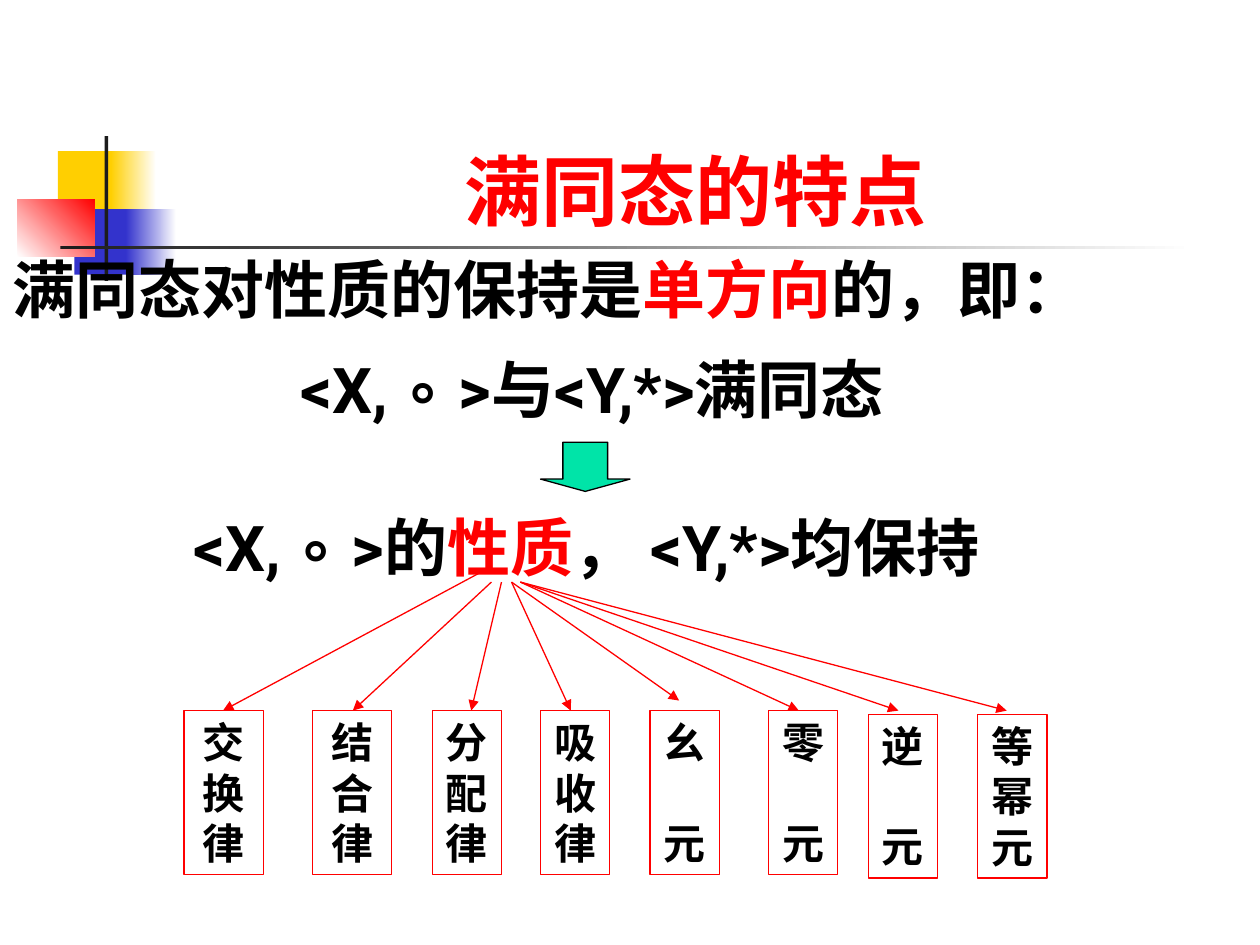
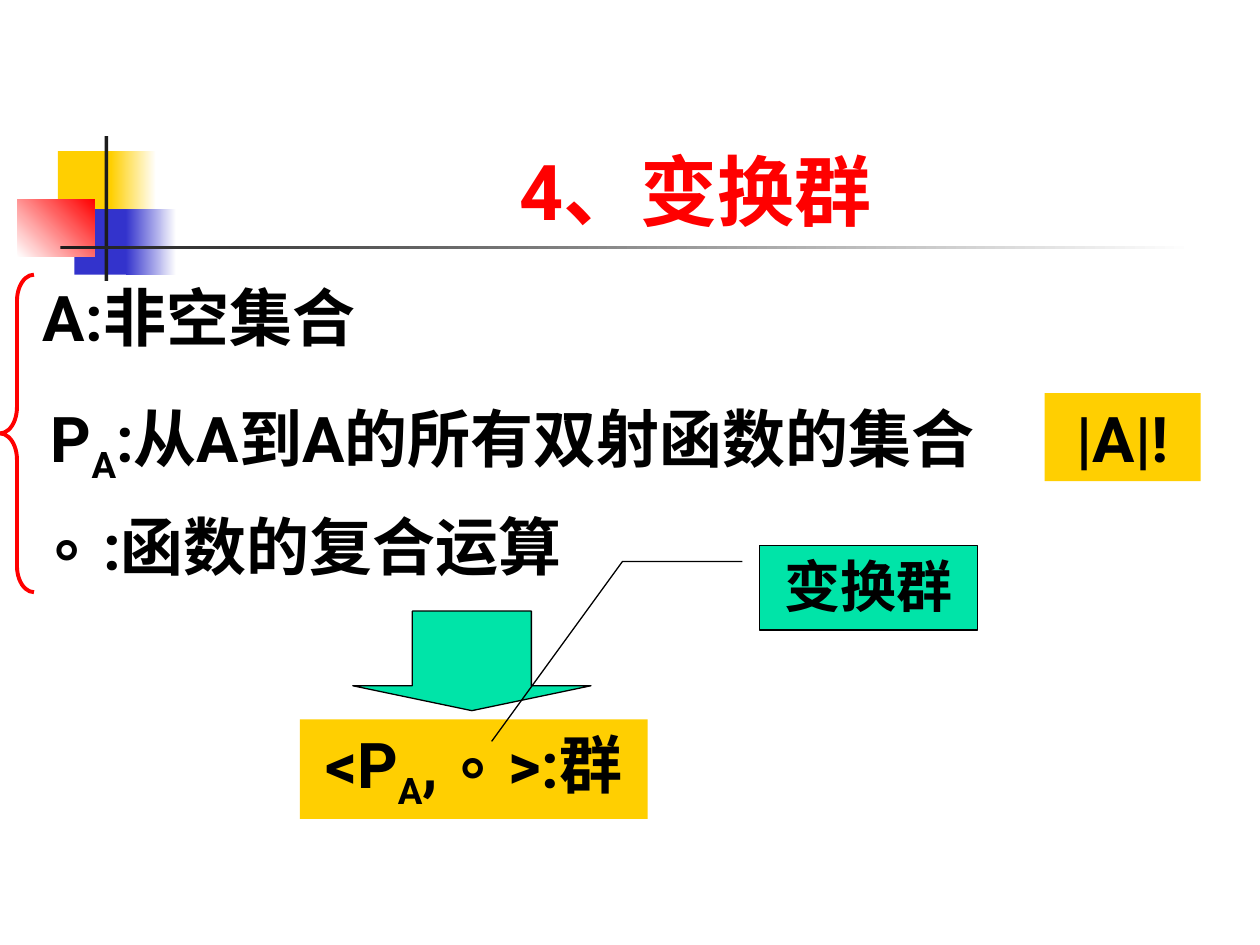
"""Build two algebra slides: surjective homomorphisms and transformation groups."""
from lxml import etree
from pptx import Presentation
from pptx import util as u
from pptx.dml.color import RGBColor
from pptx.enum import shapes, text
from pptx.oxml.ns import qn


class Theme:
    font = "Roboto"
    ink = RGBColor.from_string("000000")
    red = RGBColor.from_string("FF0000")
    gold = RGBColor.from_string("FFCF01")
    blue = RGBColor.from_string("3333CC")
    green = RGBColor.from_string("00E4A8")
    rule = RGBColor.from_string("1C1C1C")
    white = RGBColor.from_string("FFFFFF")
    title_size, body_size, callout_size, label_size = map(u.Pt, (44, 36, 32, 24))
    thin, thick = u.Pt(0.75), u.Pt(2.25)


PRESET = shapes.MSO_SHAPE


def write(shape, paragraphs, size=Theme.body_size, align=text.PP_ALIGN.CENTER, gap=0, **frame_format):
    """Fill a shape with paragraphs of (text, colour, is_subscript) runs."""
    frame = shape.text_frame
    frame_format = {"vertical_anchor": text.MSO_ANCHOR.TOP, "word_wrap": False,
                    "auto_size": text.MSO_AUTO_SIZE.NONE} | frame_format
    for name, value in frame_format.items():
        setattr(frame, name, value)
    for index, runs in enumerate(paragraphs):
        paragraph = frame.add_paragraph() if index else frame.paragraphs[0]
        paragraph.alignment = align
        if index:
            paragraph.space_before = gap
        for words, colour, is_subscript in runs:
            run = paragraph.add_run()
            run.text = words
            for name, value in {"name": Theme.font, "size": size, "bold": True}.items():
                setattr(run.font, name, value)
            run.font.color.rgb = colour
            if is_subscript:
                run.font._element.set("baseline", "-25000")


def draw(slide, preset, place, fill=None, line=None, width=Theme.thin, adjustments=()):
    """Add a preset shape without shadow, with the given fill and outline."""
    shape = slide.shapes.add_shape(preset, *map(u.Inches, place))
    shape.shadow.inherit = False
    if fill is None:
        shape.fill.background()
    else:
        shape.fill.solid()
        shape.fill.fore_color.rgb = fill
    if line is None:
        shape.line.fill.background()
    else:
        shape.line.color.rgb = line
        shape.line.width = width
    for index, value in enumerate(adjustments):
        shape.adjustments[index] = value
    return shape


deck = Presentation()
deck.slide_width, deck.slide_height = u.Inches(10), u.Inches(7.5)
layout = deck.slide_layouts[5]
for placeholder in list(layout.placeholders):
    if placeholder.placeholder_format.type == shapes.PP_PLACEHOLDER.TITLE:
        for side, inches in zip(("left", "top", "width", "height"), (1.26, 0.67, 8.52, 1.25)):
            setattr(placeholder, side, u.Inches(inches))
    else:
        layout.shapes.element.remove(placeholder.element)

features, group = (deck.slides.add_slide(layout) for _ in range(2))
for slide, heading in ((features, "满同态的特点"), (group, "4、变换群")):
    write(slide.shapes.title, [[(heading, Theme.red, False)]], Theme.title_size,
          vertical_anchor=text.MSO_ANCHOR.BOTTOM, word_wrap=True)

ornaments = []
for place, start, end, angle in (
    ((0.46, 1.2, 0.48, 0.52), Theme.gold, None, 0),
    ((0.88, 1.2, 0.36, 0.52), Theme.gold, Theme.white, 0),
    ((0.59, 1.66, 0.46, 0.52), Theme.blue, None, 0),
    ((1, 1.66, 0.4, 0.52), Theme.blue, Theme.white, 0),
    ((0.14, 1.58, 0.61, 0.46), Theme.white, Theme.red, 45),
    ((0.83, 1.08, 0.03, 1.15), Theme.rule, None, 0),
    ((0.48, 1.95, 9, 0.03), Theme.rule, Theme.white, 0),
):
    ornament = draw(features, PRESET.RECTANGLE, place, start)
    if end is not None:
        ornament.fill.gradient()
        ornament.fill.gradient_angle = angle
        for stop, position, colour in zip(ornament.fill.gradient_stops, (0, 1), (start, end)):
            stop.position = position
            stop.color.rgb = colour
    ornaments.append(ornament)
for index, ornament in enumerate(ornaments):
    layout.shapes.element.insert(2 + index, ornament.element)

statement = features.shapes.add_textbox(*map(u.Inches, (0, 1.94, 9.79, 0.91)))
write(statement, [[("满同态对性质的保持是", Theme.ink, False), ("单方向", Theme.red, False),
                   ("的，即：", Theme.ink, False)]], align=text.PP_ALIGN.LEFT, word_wrap=True)

for slide, place, runs in (
    (features, (1.96, 2.73, 5.48, 0.7), [("<X, ∘ >与<Y,*>满同态", Theme.ink, False)]),
    (features, (1.11, 3.99, 7.09, 0.7), [("<X, ∘ >的", Theme.ink, False), ("性质", Theme.red, False),
                                         ("， <Y,*>均保持", Theme.ink, False)]),
    (group, (0.18, 2.16, 2.8, 0.7), [("A:非空集合", Theme.ink, False)]),
    (group, (0, 3.12, 8.14, 0.79), [("P", Theme.ink, False), ("A", Theme.ink, True),
                                    (":从A到A的所有双射函数的集合", Theme.ink, False)]),
    (group, (0.22, 3.98, 4.4, 0.7), [("∘ :函数的复合运算", Theme.ink, False)]),
):
    formula = slide.shapes.add_textbox(*map(u.Inches, place))
    write(formula, [runs], auto_size=text.MSO_AUTO_SIZE.SHAPE_TO_FIT_TEXT)

for slide, place in ((features, (4.29, 3.51, 0.71, 0.39)), (group, (2.8, 4.85, 1.89, 0.79))):
    draw(slide, PRESET.DOWN_ARROW, place, Theme.green, Theme.ink, adjustments=(0.5, 0.25))

for left, top, width, lines, start, tip in (
    (1.46, 5.64, 0.63, ["交换律"], (3.82, 4.54), (1.77, 5.64)),
    (2.48, 5.64, 0.63, ["结合律"], (3.9, 4.62), (2.8, 5.64)),
    (3.43, 5.64, 0.55, ["分配律"], (3.98, 4.62), (3.74, 5.64)),
    (4.29, 5.64, 0.55, ["吸收律"], (4.06, 4.62), (4.53, 5.64)),
    (5.16, 5.64, 0.55, ["幺", "元"], (4.06, 4.62), (5.39, 5.56)),
    (6.1, 5.64, 0.55, ["零", "元"], (4.13, 4.62), (6.34, 5.64)),
    (6.89, 5.67, 0.55, ["逆", "元"], (4.13, 4.62), (7.13, 5.64)),
    (7.76, 5.67, 0.55, ["等幂元"], (4.13, 4.62), (7.99, 5.64)),
):
    law = draw(features, PRESET.RECTANGLE, (left, top, width, 1.3), line=Theme.red)
    write(law, [[(line, Theme.ink, False)] for line in lines], Theme.label_size,
          gap=u.Pt(28.5), word_wrap=True)
    pointer = features.shapes.add_connector(shapes.MSO_CONNECTOR.STRAIGHT, *map(u.Inches, start + tip))
    pointer.line.color.rgb = Theme.red
    pointer.line.width = Theme.thin
    outline = pointer.element.spPr.find(qn("a:ln"))
    etree.SubElement(outline, qn("a:tailEnd"), type="triangle")
    etree.SubElement(pointer.element.spPr, qn("a:effectLst"))

draw(group, PRESET.LEFT_BRACE, (0, 2.18, 0.27, 2.52), line=Theme.red, width=Theme.thick,
     adjustments=(0.77, 0.5))

for place, runs in (
    ((2.38, 5.71, 2.76, 0.79), [("<P", Theme.ink, False), ("A", Theme.ink, True),
                                (", ∘ >:群", Theme.ink, False)]),
    ((8.29, 3.12, 1.24, 0.7), [("|A|!", Theme.ink, False)]),
):
    result = draw(group, PRESET.RECTANGLE, place, Theme.gold)
    write(result, [runs], auto_size=text.MSO_AUTO_SIZE.SHAPE_TO_FIT_TEXT)

group_name = draw(group, PRESET.LINE_CALLOUT_2, (6.03, 4.33, 1.73, 0.67), Theme.green, Theme.ink,
                  adjustments=(0.19, -0.08, 0.19, -0.63, 2.32, -1.23))
write(group_name, [[("变换群", Theme.ink, False)]], Theme.callout_size, word_wrap=True)

deck.save("out.pptx")
